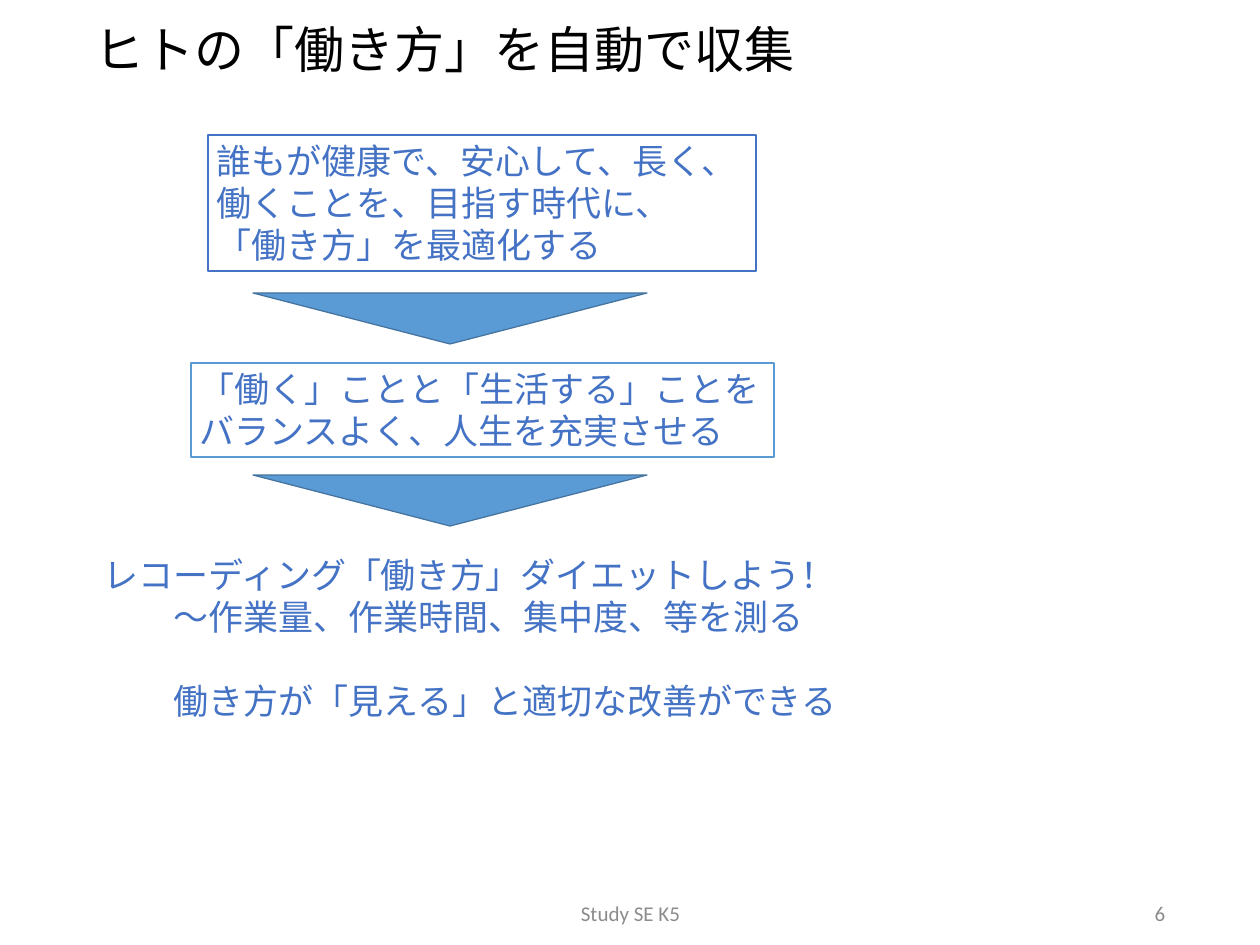
from pptx import Presentation
from pptx import util as u
from pptx.dml.color import RGBColor
from pptx.enum import shapes, text

PX = u.Inches(1) // 90
FONT = "Calibri"
COLORS = {
    "title": "000000",
    "body": "4472C4",
    "footer": "8C8C8C",
    "paper": "FFFFFF",
    "arrow": "5B9BD5",
    "arrow_edge": "43739E",
}


def color(name):
    return RGBColor.from_string(COLORS[name])


def px(box):
    return [length * PX for length in box]


def write(frame, lines, size=28, ink="body", align=text.PP_ALIGN.LEFT,
          anchor=text.MSO_ANCHOR.TOP, wrap=False, spacing=None,
          indents=(), gaps=()):
    frame.word_wrap = wrap
    frame.vertical_anchor = anchor
    for index, line in enumerate(lines):
        paragraph = frame.paragraphs[0] if index == 0 else frame.add_paragraph()
        paragraph.alignment = align
        paragraph.line_spacing = spacing
        if index in indents:
            paragraph._p.get_or_add_pPr().set("marL", str(70 * PX))
        if index in gaps:
            paragraph.space_before = u.Pt(size * 1.2)
        run = paragraph.add_run()
        run.text = line
        run.font.name = FONT
        run.font.size = u.Pt(size)
        run.font.color.rgb = color(ink)


def add_heading(slide, box, heading):
    title = slide.shapes.title
    title.left, title.top, title.width, title.height = px(box)
    write(title.text_frame, [heading], size=40, ink="title", wrap=True,
          anchor=text.MSO_ANCHOR.MIDDLE, spacing=0.9)


def add_panel(slide, kind, box, fill, edge=None):
    panel = slide.shapes.add_shape(kind, *px(box))
    panel.shadow.inherit = False
    panel.fill.solid()
    panel.fill.fore_color.rgb = color(fill)
    if edge:
        panel.line.color.rgb = color(edge)
        panel.line.width = u.Pt(1)
    else:
        panel.line.fill.background()
    return panel


def add_arrow(slide, box):
    arrow = add_panel(slide, shapes.MSO_SHAPE.ISOSCELES_TRIANGLE, box,
                      "arrow", "arrow_edge")
    arrow.rotation = 180


def add_message(slide, box, lines, edge=None, **style):
    message = add_panel(slide, shapes.MSO_SHAPE.RECTANGLE, box, "paper", edge)
    write(message.text_frame, lines, **style)
    message.text_frame.auto_size = text.MSO_AUTO_SIZE.SHAPE_TO_FIT_TEXT


def add_flow(slide, box):
    left, top, width, height = box
    for offset in (158, 340):
        add_arrow(slide, (left + 158, top + offset, 394, 51))
    add_message(slide, (left + 96, top + 228, 583, 94),
                ["「働く」ことと「生活する」ことを", "バランスよく、人生を充実させる"],
                edge="arrow")
    add_message(slide, (left, top + 414, width, height - 414),
                ["レコーディング「働き方」ダイエットしよう！",
                 "～作業量、作業時間、集中度、等を測る",
                 "働き方が「見える」と適切な改善ができる"],
                indents=(1, 2), gaps=(2,))
    add_message(slide, (left + 113, top, 548, 136),
                ["誰もが健康で、安心して、長く、", "働くことを、目指す時代に、",
                 "「働き方」を最適化する"],
                edge="body")


def add_footer(slide, box):
    left, top, width, height = box
    parts = [
        ("Study SE K5", left, 425, text.PP_ALIGN.CENTER),
        ("6", left + width - 283, 283, text.PP_ALIGN.RIGHT),
    ]
    for label, part_left, part_width, align in parts:
        part = slide.shapes.add_textbox(*px((part_left, top, part_width, height)))
        write(part.text_frame, [label], size=16.8, ink="footer", align=align,
              anchor=text.MSO_ANCHOR.MIDDLE, wrap=True)


def main():
    deck = Presentation()
    deck.slide_width, deck.slide_height = px((1260, 945))
    slide = deck.slides.add_slide(deck.slide_layouts[5])
    add_heading(slide, (86, 11, 1086, 83), "ヒトの「働き方」を自動で収集")
    add_flow(slide, (95, 135, 760, 593))
    add_footer(slide, (418, 900, 756, 26))
    deck.save("out.pptx")


if __name__ == "__main__":
    main()
